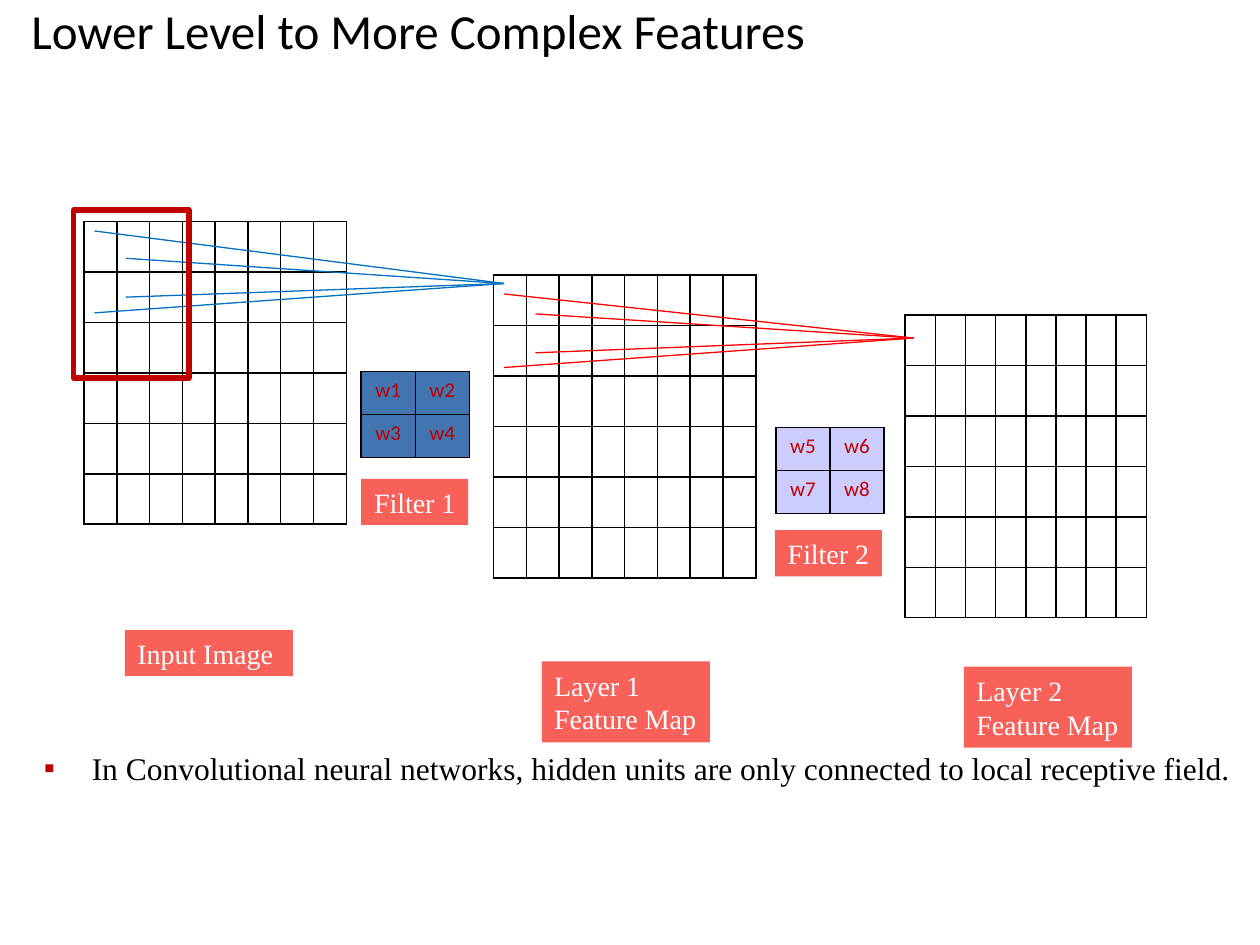
from dataclasses import dataclass
from lxml import etree
from pptx import Presentation
from pptx import util as u
from pptx.dml.color import RGBColor as Rgb
from pptx.enum import shapes, text
from pptx.oxml import parse_xml
from pptx.oxml.ns import nsdecls, qn


@dataclass
class Theme:
    ink: str = "000000"
    paper: str = "FFFFFF"
    label: str = "F7615A"
    mark: str = "C00000"
    blue: str = "0070C0"
    red: str = "FF0000"
    steel: str = "4274AF"
    lilac: str = "CCCCFF"
    sans: str = "Calibri"
    serif: str = "Times New Roman"
    title: int = 28
    body: int = 18
    tag: int = 16
    weight: int = 12


look = Theme()
deck = Presentation()
deck.slide_width, deck.slide_height = u.Inches(10), u.Inches(7.5)
slide = deck.slides.add_slide(deck.slide_layouts[6])
parts = slide.shapes
unit = deck.slide_width / 120


def grid(*spans):
    return [u.Emu(round(span * unit)) for span in spans]


def style(para, words, size, face, color, align=text.PP_ALIGN.LEFT):
    para.text = words
    para.alignment = align
    para.font.size = u.Pt(size)
    para.font.name = face
    para.font.color.rgb = Rgb.from_string(color)


title = parts.add_textbox(*grid(3, 0, 102, 15)).text_frame
title.word_wrap = True
title.margin_left = title.margin_right = title.margin_top = title.margin_bottom = 0
style(title.paragraphs[0], "Lower Level to More Complex Features",
      look.title, look.sans, look.ink)

body = parts.add_textbox(*grid(3, 70, 116, 12.8)).text_frame
body.word_wrap = True
point = body.paragraphs[0]
props = point._p.get_or_add_pPr()
props.set("marL", str(u.Inches(0.38)))
props.set("indent", str(-u.Inches(0.38)))
tint = etree.SubElement(props, qn("a:buClr"))
etree.SubElement(tint, qn("a:srgbClr"), val=look.mark)
etree.SubElement(props, qn("a:buFont"), typeface=look.serif)
etree.SubElement(props, qn("a:buChar"), char="▪")
point.line_spacing = 1.2
style(point, "In Convolutional neural networks, hidden units are only "
      "connected to local receptive field.", look.body, look.serif, look.ink)

blank = [[""] * 8] * 6
tables = [
    (8, 21.1, 25, 28.8, blank, None),
    (47, 26.2, 25, 28.8, blank, None),
    (86.2, 30, 23, 28.8, blank, None),
    (34.4, 35.4, 10.3, 8.2, [["w1", "w2"], ["w3", "w4"]], look.steel),
    (73.9, 40.7, 10.3, 8.2, [["w5", "w6"], ["w7", "w8"]], look.lilac),
]
for x, y, wide, high, rows, fill in tables:
    down, across = len(rows), len(rows[0])
    table = parts.add_table(down, across, *grid(x, y, wide, high)).table
    table.first_row = table.horz_banding = False
    for col in table.columns:
        col.width = grid(wide / across)[0]
    for row, words in zip(table.rows, rows):
        row.height = grid(high / down)[0]
        for cell, word in zip(row.cells, words):
            for side in "LRTB":
                cell._tc.get_or_add_tcPr().append(parse_xml(
                    f'<a:ln{side} {nsdecls("a")} w="{u.Pt(1)}"><a:solidFill>'
                    f'<a:srgbClr val="{look.ink}"/></a:solidFill></a:ln{side}>'))
            if fill:
                cell.fill.solid()
                cell.fill.fore_color.rgb = Rgb.from_string(fill)
                style(cell.text_frame.paragraphs[0], word, look.weight,
                      look.sans, look.mark, text.PP_ALIGN.CENTER)
            else:
                cell.fill.background()

fans = [
    (look.blue, (48, 27), [(9, 22), (12, 24.6), (12, 28.3), (9, 29.8)]),
    (look.red, (87, 32.2), [(48, 28), (51, 29.9), (51, 33.6), (48, 35)]),
]
for color, tip, roots in fans:
    for root in roots:
        ray = parts.add_connector(shapes.MSO_CONNECTOR.STRAIGHT, *grid(*root, *tip))
        ray.line.color.rgb = Rgb.from_string(color)
        ray.line.width = u.Pt(0.75)
        etree.SubElement(ray._element.spPr, qn("a:effectLst"))

left, mid = text.PP_ALIGN.LEFT, text.PP_ALIGN.CENTER
labels = [
    ("Input Image", 11.9, 60, 16, 4.4, left),
    ("Layer 1\vFeature Map", 51.6, 63, 16, 7.7, left),
    ("Layer 2\vFeature Map", 91.8, 63.5, 16, 7.7, left),
    ("Filter 1", 34.4, 45.6, 10.2, 4.4, mid),
    ("Filter 2", 73.8, 50.5, 10.2, 4.4, mid),
]
for words, x, y, wide, high, align in labels:
    tag = parts.add_shape(shapes.MSO_SHAPE.RECTANGLE, *grid(x, y, wide, high))
    tag.shadow.inherit = False
    tag.fill.solid()
    tag.fill.fore_color.rgb = Rgb.from_string(look.label)
    tag.line.fill.background()
    frame = tag.text_frame
    frame.word_wrap = True
    frame.margin_left = u.Inches(0.1 if align == left else 0)
    frame.margin_right = 0
    style(frame.paragraphs[0], words, look.tag, look.serif, look.paper, align)

field = parts.add_shape(shapes.MSO_SHAPE.RECTANGLE, *grid(7, 20, 11, 16))
field.shadow.inherit = False
field.fill.background()
field.line.color.rgb = Rgb.from_string(look.mark)
field.line.width = u.Pt(3)

deck.save("out.pptx")
